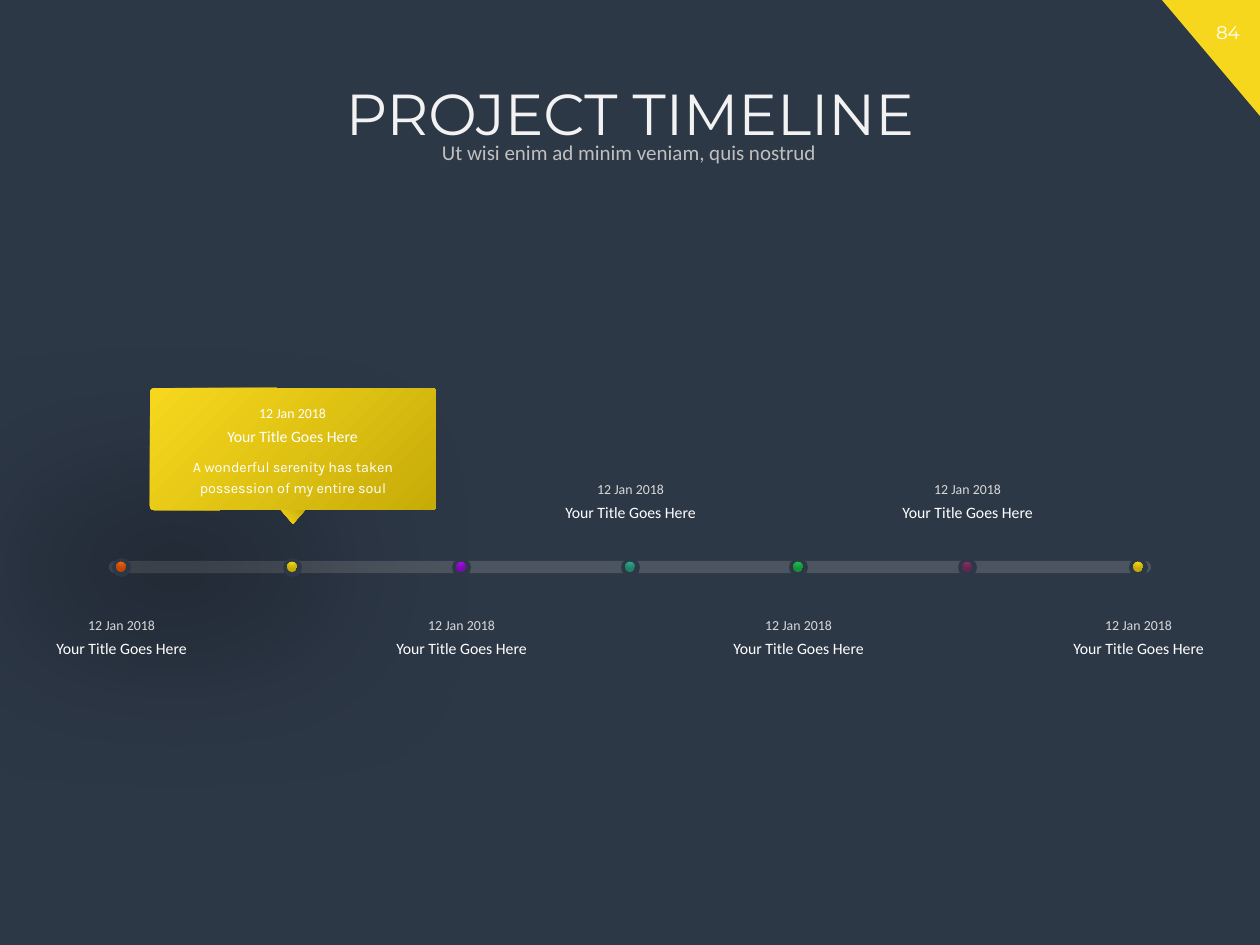
from dataclasses import dataclass

from lxml.etree import SubElement
from pptx import Presentation
from pptx.dml.color import RGBColor
from pptx.enum.shapes import MSO_CONNECTOR, MSO_SHAPE
from pptx.enum.text import MSO_ANCHOR, MSO_AUTO_SIZE, PP_ALIGN
from pptx.oxml import parse_xml
from pptx.oxml.ns import nsdecls, qn
from pptx.shapes.autoshape import Shape
from pptx.slide import Slide
from pptx.util import Emu, Pt

PX_PER_INCH = 126
BACKGROUND = "2D3847"
YELLOW = ("F6D71E", "C7AC08")
LINEAR = '<a:lin ang="2700000" scaled="0"/>'
RADIAL = ('<a:path path="circle"><a:fillToRect l="50000" t="-80000" '
          'r="50000" b="180000"/></a:path>')
AXIS_Y = 567


@dataclass
class Milestone:
    center: int
    date_top: int
    colors: tuple[str, str]
    glow: str
    date_color: str = "D9D9D9"


CALLOUT_ROW, UPPER_ROW, LOWER_ROW = 398, 474, 610
MILESTONES = [
    Milestone(121, LOWER_ROW, ("F56211", "BD4808"), "F6D71E"),
    Milestone(292, CALLOUT_ROW, YELLOW, "F56211", "FFFFFF"),
    Milestone(461, LOWER_ROW, ("A40FE7", "7B0BAD"), "A40FE7"),
    Milestone(630, UPPER_ROW, ("2FAB8D", "23806A"), "2FAB8D"),
    Milestone(798, LOWER_ROW, ("1CC24F", "15923B"), "1CC24F"),
    Milestone(967, UPPER_ROW, ("85336A", "64264F"), "85336A"),
    Milestone(1138, LOWER_ROW, YELLOW, "F6D71E"),
]


def px(value: int) -> Emu:
    return Emu(round(value * 914400 / PX_PER_INCH))


def rgb(color: str) -> RGBColor:
    return RGBColor.from_string(color)


def add_block(page: Slide, kind: MSO_SHAPE, left: int, top: int, width: int,
              height: int, color: str = BACKGROUND) -> Shape:
    shape = page.shapes.add_shape(kind, px(left), px(top), px(width), px(height))
    shape.fill.solid()
    shape.fill.fore_color.rgb = rgb(color)
    shape.line.fill.background()
    shape.shadow.inherit = False
    return shape


def set_gradient(shape: Shape, colors: tuple[str, str], direction: str) -> None:
    start, end = colors
    gradient = parse_xml(
        f'<a:gradFill {nsdecls("a")} rotWithShape="1"><a:gsLst>'
        f'<a:gs pos="2000"><a:srgbClr val="{start}"/></a:gs>'
        f'<a:gs pos="100000"><a:srgbClr val="{end}"/></a:gs>'
        f'</a:gsLst>{direction}</a:gradFill>')
    properties = shape.element.spPr
    properties.replace(properties.find(qn("a:solidFill")), gradient)


def add_shadow(shape: Shape, color: str, distance: int = 0, angle: int = 0) -> None:
    effects = shape.element.spPr.find(qn("a:effectLst"))
    effects.append(parse_xml(
        f'<a:outerShdw {nsdecls("a")} blurRad="{Pt(100)}" dist="{Pt(distance)}" '
        f'dir="{angle * 60000}" algn="ctr" rotWithShape="0">'
        f'<a:srgbClr val="{color}"><a:alpha val="40000"/></a:srgbClr></a:outerShdw>'))


def add_text(page: Slide, text: str, left: int, top: int, width: int, height: int,
             size: float, color: str, font: str = "Calibri", spacing: float = 1.0,
             grow: bool = True, anchor: MSO_ANCHOR = MSO_ANCHOR.TOP) -> None:
    box = page.shapes.add_textbox(px(left), px(top), px(width), px(height))
    frame = box.text_frame
    frame.word_wrap = True
    frame.auto_size = MSO_AUTO_SIZE.SHAPE_TO_FIT_TEXT if grow else MSO_AUTO_SIZE.NONE
    frame.vertical_anchor = anchor
    para = frame.paragraphs[0]
    para.text = text
    para.alignment = PP_ALIGN.CENTER
    para.line_spacing = spacing
    para.font.size = Pt(size)
    para.font.name = font
    para.font.color.rgb = rgb(color)


def add_axis(page: Slide) -> None:
    axis = page.shapes.add_connector(
        MSO_CONNECTOR.STRAIGHT, px(115), px(AXIS_Y), px(1145), px(AXIS_Y))
    axis.line.width = Pt(7)
    axis.line.color.rgb = rgb("A6A6A6")
    properties = axis.element.spPr
    outline = properties.find(qn("a:ln"))
    outline.set("cap", "rnd")
    SubElement(outline.find(f'.//{qn("a:srgbClr")}'), qn("a:alpha")).set("val", "25000")
    SubElement(properties, qn("a:effectLst"))


def add_callout(page: Slide) -> None:
    card = add_block(page, MSO_SHAPE.ROUNDED_RECTANGLE, 150, 388, 286, 122)
    card.adjustments[0] = 0.03
    set_gradient(card, YELLOW, LINEAR)
    add_shadow(card, "000000", distance=96, angle=135)
    pointer = add_block(page, MSO_SHAPE.ISOSCELES_TRIANGLE, 281, 510, 24, 14)
    pointer.rotation = 180
    pointer.element.spPr.find(qn("a:xfrm")).set("flipH", "1")
    set_gradient(pointer, YELLOW, LINEAR)
    add_text(page, "A wonderful serenity has taken possession of my entire soul",
             150, 449, 286, 54, 8.2, "FFFFFF", "Karla", spacing=1.2)


def add_milestone(page: Slide, item: Milestone) -> None:
    ring = add_block(page, MSO_SHAPE.OVAL, item.center - 9, AXIS_Y - 9, 19, 19)
    add_shadow(ring, "FFFFFF")
    dot = add_block(page, MSO_SHAPE.OVAL, item.center - 5, AXIS_Y - 5, 10, 10)
    set_gradient(dot, item.colors, RADIAL)
    add_shadow(dot, item.glow)
    left = item.center - 96
    add_text(page, "Your Title Goes Here", left, item.date_top + 23, 193, 32, 9, "FFFFFF")
    add_text(page, "12 Jan 2018", left, item.date_top, 193, 29, 7.9, item.date_color)


def main() -> None:
    deck = Presentation()
    deck.slide_width, deck.slide_height = px(1260), px(945)
    page = deck.slides.add_slide(deck.slide_layouts[6])
    page.background.fill.solid()
    page.background.fill.fore_color.rgb = rgb(BACKGROUND)

    # Page number corner
    corner = add_block(page, MSO_SHAPE.RIGHT_TRIANGLE, 1162, 0, 98, 116, YELLOW[0])
    corner.rotation = 180
    add_text(page, "84", 1196, 15, 64, 35, 10.5, "FFFFFF", "Montserrat")

    # Timeline
    add_axis(page)
    add_callout(page)
    for item in MILESTONES:
        add_milestone(page, item)

    # Headings
    add_text(page, "PROJECT TIMELINE", 72, 79, 1116, 92, 33, "F2F2F2", "Montserrat",
             spacing=0.9, grow=False)
    add_text(page, "Ut wisi enim ad minim veniam, quis nostrud", 175, 137, 908, 33, 12,
             "BFBFBF", spacing=0.9, grow=False, anchor=MSO_ANCHOR.MIDDLE)

    deck.save("out.pptx")


if __name__ == "__main__":
    main()
